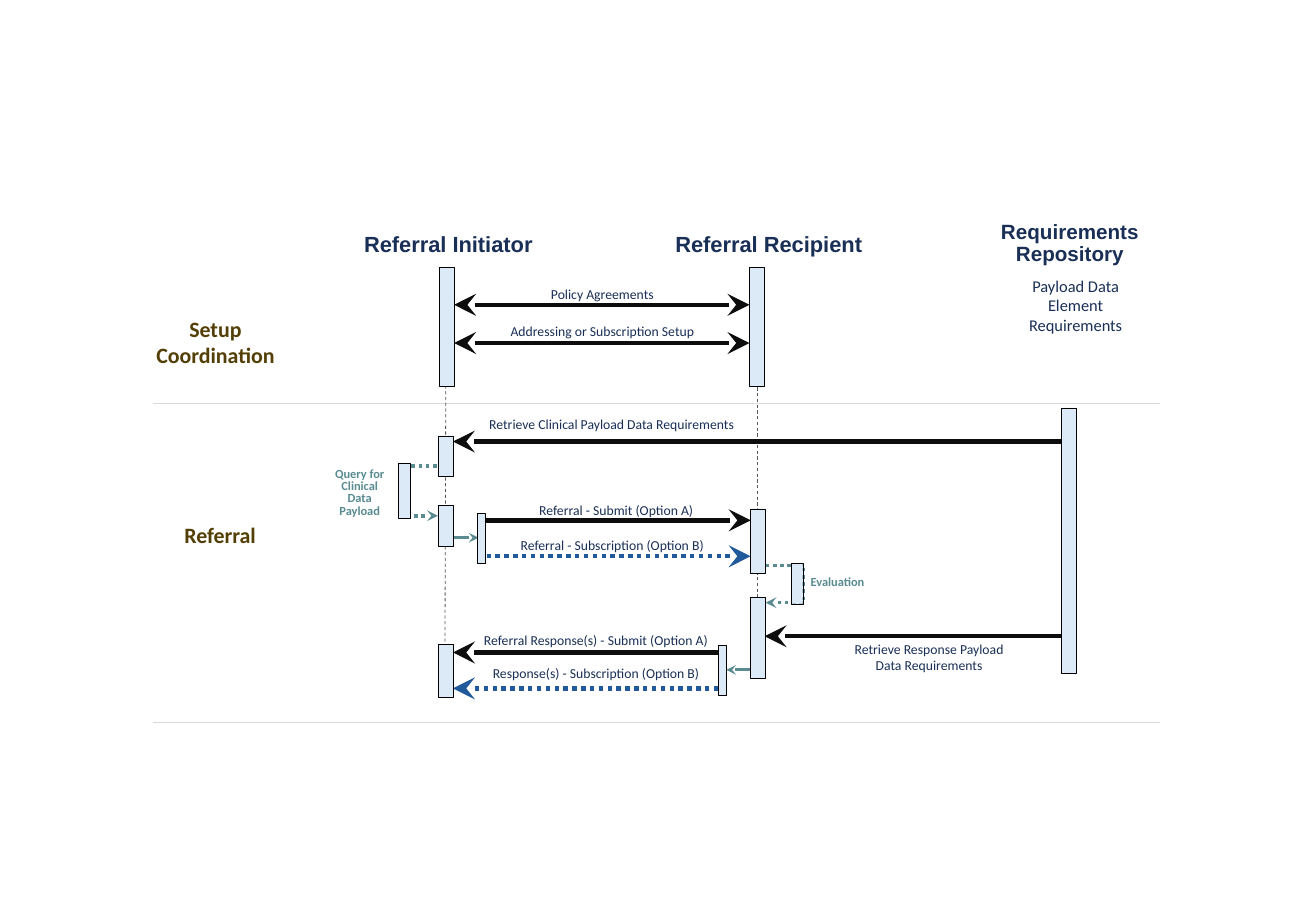
import pptx
import pptx.util
import pptx.dml.color
import pptx.enum.dml
import pptx.enum.shapes
import pptx.enum.text
import pptx.oxml.ns
from lxml import etree

Inches, Pt = pptx.util.Inches, pptx.util.Pt
INK, NAVY, BLUE, TEAL, BROWN = "0D0D0D", "192F56", "215A9A", "598B91", "533F05"
GREY, RULE, BAR, BLACK = "595959", "D9D9D9", "DCE9F7", "000000"
DOT = pptx.enum.dml.MSO_LINE.ROUND_DOT
DASH = pptx.enum.dml.MSO_LINE.DASH


def rgb(value):
    return pptx.dml.color.RGBColor.from_string(value)


class SequenceSlide:
    """Draws sequence diagram elements on one slide in a shared style."""

    def __init__(self, prs):
        self.s = prs.slides.add_slide(prs.slide_layouts[6])

    def line(self, x1, y1, x2, y2, color, width, dash=None, ends=(), size="med"):
        cxn = self.s.shapes.add_connector(
            pptx.enum.shapes.MSO_CONNECTOR.STRAIGHT,
            Inches(x1), Inches(y1), Inches(x2), Inches(y2))
        cxn.line.color.rgb = rgb(color)
        cxn.line.width = Pt(width)
        if dash:
            cxn.line.dash_style = dash
        ln = cxn.line._get_or_add_ln()
        for end in ends:
            etree.SubElement(ln, pptx.oxml.ns.qn(f"a:{end}"),
                             type="stealth", w=size, len=size)
        etree.SubElement(cxn._element.spPr, pptx.oxml.ns.qn("a:effectLst"))

    def message(self, x1, x2, y, color=INK, dash=None, ends=("tailEnd",)):
        self.line(x1, y, x2, y, color, 2.75, dash, ends, "lg")

    def step(self, x1, x2, y, width=2.25, dash=DOT, ends=("tailEnd",)):
        self.line(x1, y, x2, y, TEAL, width, dash, ends)

    def bar(self, x, y, w, h):
        sp = self.s.shapes.add_shape(
            pptx.enum.shapes.MSO_SHAPE.RECTANGLE,
            Inches(x), Inches(y), Inches(w), Inches(h))
        sp.shadow.inherit = False
        sp.fill.solid()
        sp.fill.fore_color.rgb = rgb(BAR)
        sp.line.color.rgb = rgb(BLACK)
        sp.line.width = Pt(0.25)

    def text(self, x, y, w, h, words, size=8.5, color=NAVY, bold=False,
             font="Calibri", spacing=None, inset=False):
        tf = self.s.shapes.add_textbox(
            Inches(x), Inches(y), Inches(w), Inches(h)).text_frame
        tf.word_wrap = True
        tf.auto_size = pptx.enum.text.MSO_AUTO_SIZE.SHAPE_TO_FIT_TEXT
        if not inset:
            tf.margin_left = tf.margin_right = tf.margin_top = tf.margin_bottom = 0
        tf.text = words
        for p in tf.paragraphs:
            p.alignment = pptx.enum.text.PP_ALIGN.CENTER
            if spacing:
                p.line_spacing = Pt(spacing)
            p.font.size = Pt(size)
            p.font.name = font
            p.font.bold = bold
            p.font.color.rgb = rgb(color)

    def heading(self, x, y, w, h, words, size=13.6, spacing=None):
        self.text(x, y, w, h, words, size, NAVY, True, "Arial", spacing)

    def phase(self, x, y, w, h, words):
        self.text(x, y, w, h, words, 13.6, BROWN, True)

    def note(self, x, y, w, h, words):
        self.text(x, y, w, h, words, 7.7, TEAL, True, spacing=7.7, inset=True)


def main():
    prs = pptx.Presentation()
    prs.slide_width, prs.slide_height = Inches(11.36), Inches(7.93)
    s = SequenceSlide(prs)

    for y in (3.48, 6.23):
        s.line(1.32, y, 10.01, y, RULE, 0.5)
    s.line(6.54, 2.45, 6.54, 5.79, GREY, 0.5, DASH)
    s.line(3.85, 2.68, 3.84, 5.98, GREY, 0.5, DASH)

    for y in (2.63, 2.96):
        s.message(3.92, 6.47, y, ends=("headEnd", "tailEnd"))
    s.message(9.2, 3.91, 3.81)
    s.message(4.16, 6.48, 4.49)
    s.message(4.2, 6.48, 4.8, BLUE, DOT)
    s.message(9.19, 6.6, 5.49)
    s.message(6.2, 3.91, 5.63)
    s.message(6.2, 3.91, 5.94, BLUE, DOT)

    s.step(6.5, 6.27, 5.78, 2, None)
    s.step(3.91, 4.13, 4.64, 2, None)
    s.step(3.77, 3.46, 4.02, ends=())
    s.step(3.45, 3.78, 4.45)
    s.step(6.61, 6.93, 4.88, ends=())
    s.step(6.93, 6.61, 5.2)
    s.line(6.93, 4.9, 6.93, 5.18, TEAL, 2.25, DOT)

    for x, y, w, h in (
            (3.79, 2.31, 0.13, 1.02), (6.47, 2.31, 0.13, 1.02),
            (3.78, 3.76, 0.13, 0.35), (3.78, 4.36, 0.13, 0.35),
            (3.78, 5.56, 0.13, 0.46), (6.48, 4.39, 0.13, 0.56),
            (6.48, 5.15, 0.13, 0.7), (9.16, 3.52, 0.13, 2.29),
            (4.12, 4.43, 0.07, 0.43), (6.2, 5.57, 0.07, 0.43),
            (3.44, 4, 0.1, 0.47), (6.83, 4.86, 0.1, 0.35)):
        s.bar(x, y, w, h)

    s.heading(3.12, 1.99, 1.5, 0.23, "Referral Initiator")
    s.heading(5.79, 1.99, 1.69, 0.23, "Referral Recipient")
    s.heading(8.51, 1.91, 1.45, 0.39, "Requirements Repository", 12.8, 13.6)
    s.text(8.77, 2.33, 1.03, 0.62, "Payload Data Element Requirements", 10.2, inset=True)
    s.phase(1.33, 2.72, 1.06, 0.46, "Setup Coordination")
    s.phase(1.44, 4.5, 0.92, 0.23, "Referral")
    s.note(6.68, 4.93, 1.1, 0.21, "Evaluation")
    s.note(2.75, 3.99, 0.71, 0.55, "Query for Clinical Data Payload")

    for x, y, w, words in (
            (3.92, 2.47, 2.56, "Policy Agreements"),
            (3.92, 2.79, 2.56, "Addressing or Subscription Setup"),
            (3.97, 3.59, 2.62, "Retrieve Clinical Payload Data Requirements"),
            (4.17, 4.33, 2.3, "Referral - Submit (Option A)"),
            (4.2, 4.63, 2.17, "Referral - Subscription (Option B)"),
            (4.01, 5.45, 2.27, "Referral Response(s) - Submit (Option A)"),
            (4.06, 5.74, 2.17, "Response(s) - Subscription (Option B)")):
        s.text(x, y, w, 0.14, words)
    s.text(6.71, 5.53, 2.62, 0.29, "Retrieve Response Payload\nData Requirements")

    prs.save("out.pptx")


if __name__ == "__main__":
    main()
